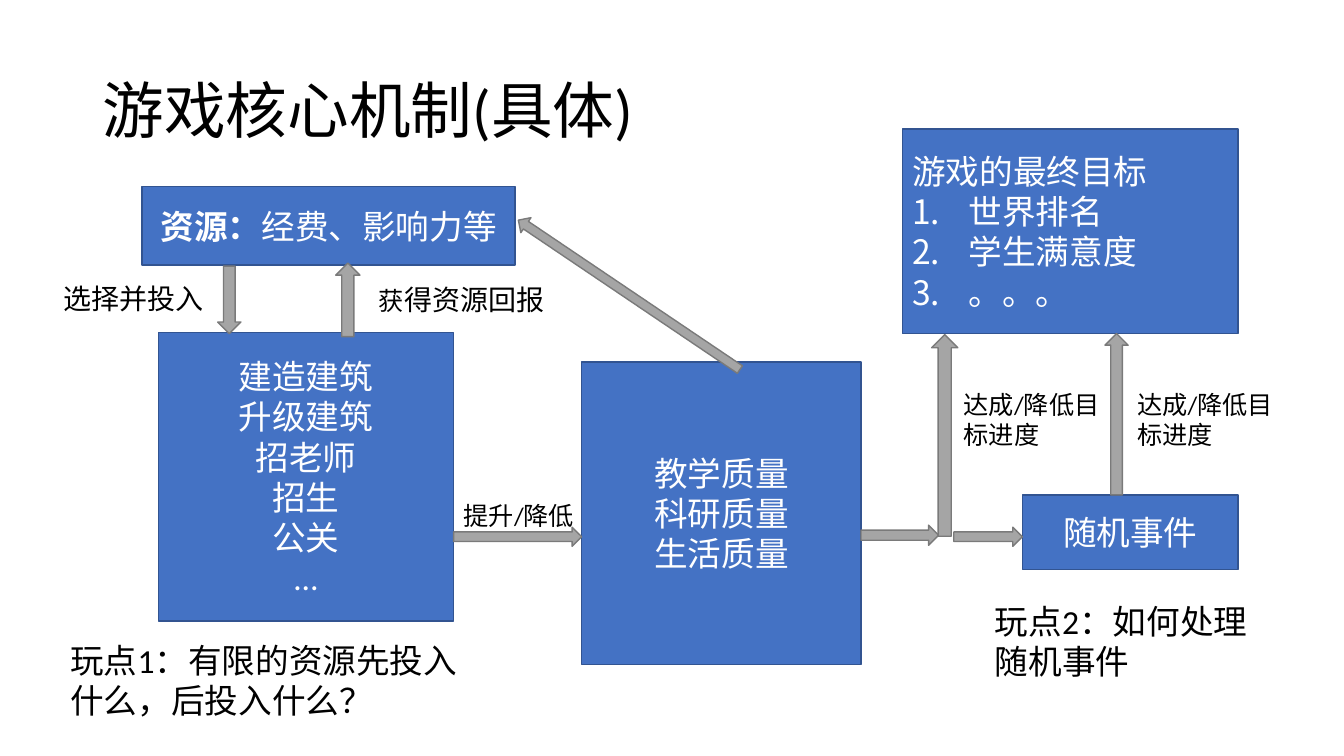
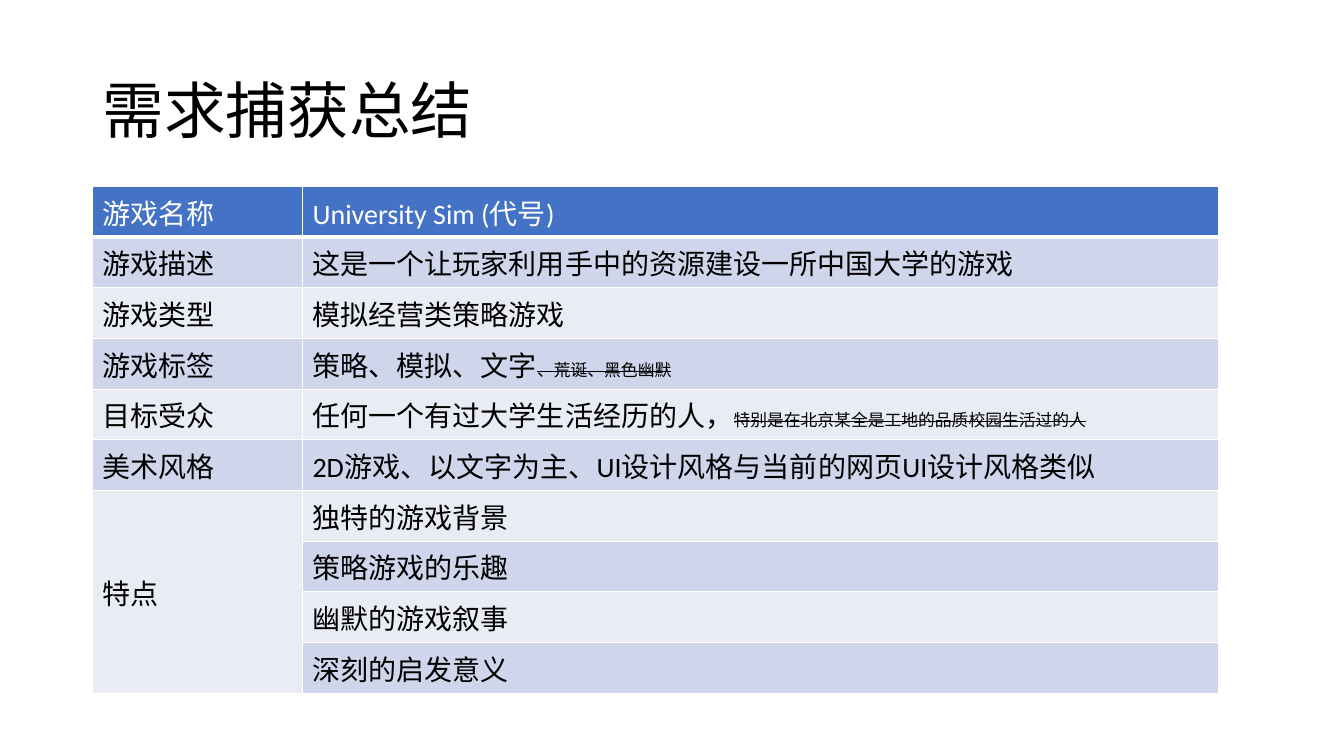
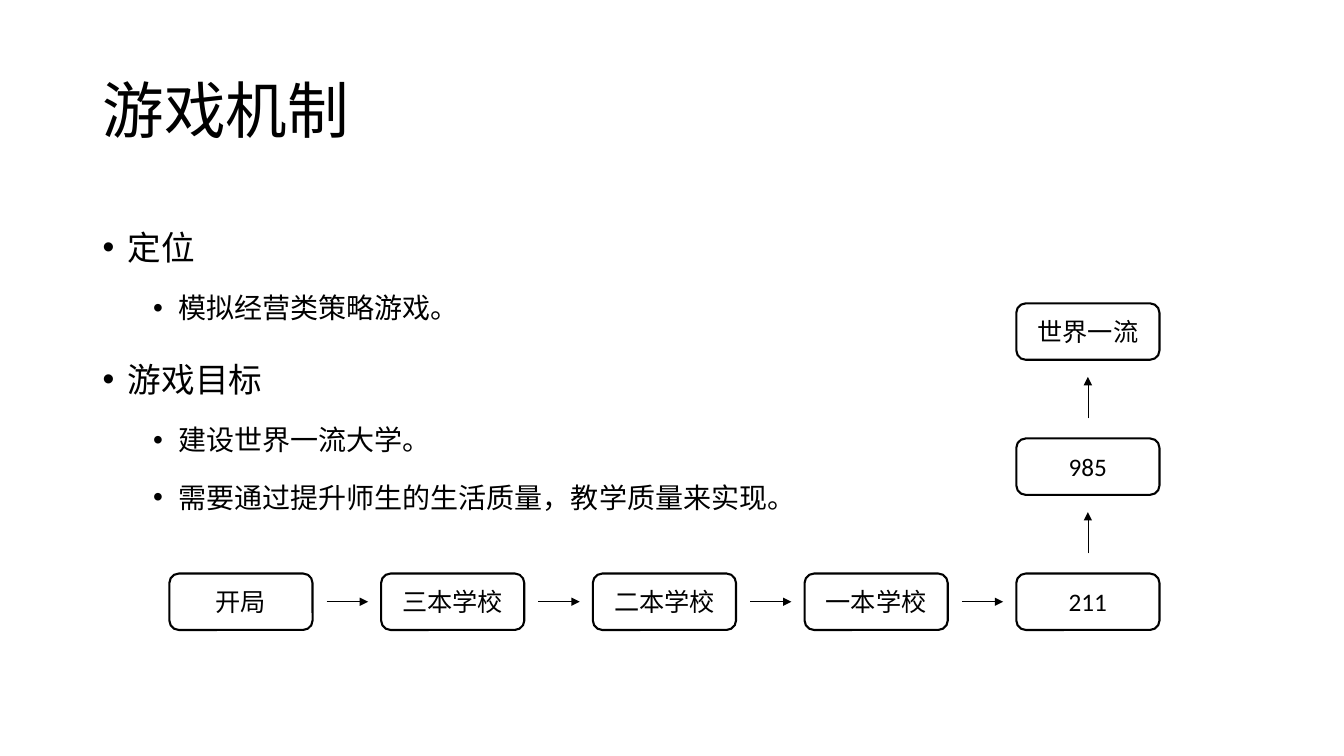
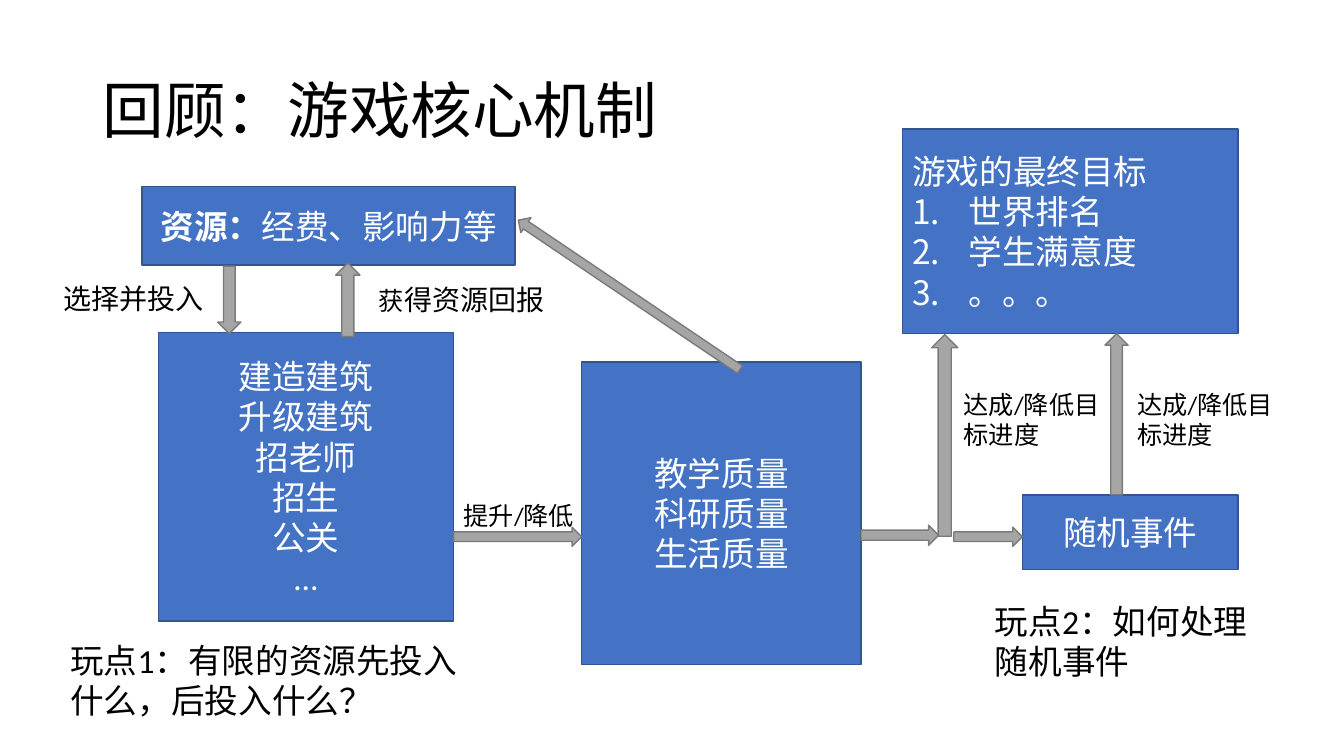
"""Build a four-slide deck on the mechanics of a university simulation game."""
from dataclasses import dataclass

from lxml import etree
from pptx import Presentation
from pptx.dml.color import RGBColor
from pptx.enum.shapes import MSO_CONNECTOR, MSO_SHAPE
from pptx.enum.text import MSO_ANCHOR, PP_ALIGN
from pptx.oxml.ns import qn
from pptx.util import Emu, Pt

EMU_PER_PX = 9144
BLANK_LAYOUT = 6
LEFT, CENTER = PP_ALIGN.LEFT, PP_ALIGN.CENTER
TOP, MIDDLE = MSO_ANCHOR.TOP, MSO_ANCHOR.MIDDLE
RECT, ROUNDED = MSO_SHAPE.RECTANGLE, MSO_SHAPE.ROUNDED_RECTANGLE
UP, DOWN, RIGHT = MSO_SHAPE.UP_ARROW, MSO_SHAPE.DOWN_ARROW, MSO_SHAPE.RIGHT_ARROW
STRAIGHT = MSO_CONNECTOR.STRAIGHT


@dataclass(frozen=True)
class Theme:
    """Colours, fonts and type sizes of the deck."""
    ink: str = "000000"
    paper: str = "FFFFFF"
    blue: str = "4472C4"
    blue_edge: str = "325491"
    gray: str = "A5A5A5"
    gray_edge: str = "7A7A7A"
    band_dark: str = "CFD5EA"
    band_light: str = "E9EBF5"
    font: str = "Calibri"
    bullet_font: str = "Arial"
    title: int = 44
    large: int = 24
    medium: int = 20
    small: int = 18
    tiny: int = 12


THEME = Theme()

NODES = [
    ((141, 185, 370, 78), [[("资源：", {"bold": True}), ("经费、影响力等", {})]]),
    ((157, 330, 293, 286), ["建造建筑", "升级建筑", "招老师", "招生", "公关", "…"]),
    ((1014, 491, 214, 74), ["随机事件"]),
    ((577, 359, 277, 300), ["教学质量", "科研质量", "生活质量"]),
]
GOALS_AT = (895, 128, 333, 203)
GOALS = ["游戏的最终目标", "世界排名", "学生满意度", "。。。"]
ARROWS = [
    (DOWN, (216, 264, 23, 67), 0),
    (UP, (333, 261, 24, 73), 0),
    (RIGHT, (450, 523, 127, 19), 0),
    (RIGHT, (854, 521, 77, 20), 0),
    (UP, (924, 332, 26, 200), 0),
    (RIGHT, (946, 523, 68, 19), 0),
    (UP, (1096, 331, 23, 160), 0),
    (UP, (615, 160, 18, 265), 304),
]
PROGRESS = "达成/降低目标进度"
LABELS = [
    ((53, 274, 162, 44), THEME.medium, "选择并投入"),
    ((366, 275, 188, 44), THEME.medium, [("获", {"size": Pt(THEME.small)}), ("得资源回报", {})]),
    ((450, 491, 131, 40), THEME.small, "提升/降低"),
    ((1118, 381, 168, 71), THEME.small, PROGRESS),
    ((946, 381, 168, 71), THEME.small, PROGRESS),
    ((60, 630, 433, 91), THEME.large, "玩点1：有限的资源先投入什么，后投入什么？"),
    ((977, 591, 297, 91), THEME.large, "玩点2：如何处理随机事件"),
]

STRUCK = {"size": Pt(THEME.tiny), "strike": True}
SUMMARY = [
    ("游戏名称", "University Sim (代号)"),
    ("游戏描述", "这是一个让玩家利用手中的资源建设一所中国大学的游戏"),
    ("游戏类型", "模拟经营类策略游戏"),
    ("游戏标签", [("策略、模拟、文字", {}), ("、荒诞、黑色幽默", STRUCK)]),
    ("目标受众", [("任何一个有过大学生活经历的人，", {}),
              ("特别是在北京某全是工地的品质校园生活过的人", STRUCK)]),
    ("美术风格", "2D游戏、以文字为主、UI设计风格与当前的网页UI设计风格类似"),
    ("特点", "独特的游戏背景"),
    ("", "策略游戏的乐趣"),
    ("", "幽默的游戏叙事"),
    ("", "深刻的启发意义"),
]
FEATURES_ROW = 6

OUTLINE = [
    (0, "定位"),
    (1, "模拟经营类策略游戏。"),
    (0, "游戏目标"),
    (1, "建设世界一流大学。"),
    (1, "需要通过提升师生的生活质量，教学质量来实现。"),
]
RANKS = ["开局", "三本学校", "二本学校", "一本学校", "211"]
TOP_RANKS = ["985", "世界一流"]


def px(*lengths):
    """Turn whole px lengths into EMU."""
    return [Emu(length * EMU_PER_PX) for length in lengths]


def rgb(value):
    """Return a colour object for a hex value."""
    return RGBColor.from_string(value)


def add_child(parent, tag, **attributes):
    """Append an XML element and return it."""
    return etree.SubElement(parent, qn(tag), attributes)


def write_span(para, text, color, formats):
    """Add one run with its format values."""
    span = para.add_run()
    span.text = text
    span.font.color.rgb = rgb(color)
    for name, value in formats.items():
        if name == "strike":
            span.font._element.set("strike", "sngStrike")
        else:
            setattr(span.font, name, value)


def write_text(frame, paras, size, color=THEME.ink, align=LEFT, anchor=TOP, font=THEME.font):
    """Write paragraphs, each a string or a list of spans, and return them."""
    frame.word_wrap = True
    frame.vertical_anchor = anchor
    formats = {"name": font, "size": Pt(size), "bold": False}
    for index, content in enumerate(paras):
        para = frame.paragraphs[0] if index == 0 else frame.add_paragraph()
        para.alignment = align
        spans = [(content, {})] if isinstance(content, str) else content
        for text, changes in spans:
            write_span(para, text, color, formats | changes)
    return frame.paragraphs


def add_label(shapes, place, paras, size, **options):
    """Add a text box and return its paragraphs."""
    box = shapes.add_textbox(*px(*place))
    return write_text(box.text_frame, paras, size, **options)


def add_figure(shapes, kind, place, fill, edge, width=1):
    """Add a preset shape with a fill, or none, and an outline."""
    figure = shapes.add_shape(kind, *px(*place))
    figure.shadow.inherit = False
    if fill:
        figure.fill.solid()
        figure.fill.fore_color.rgb = rgb(fill)
    else:
        figure.fill.background()
    figure.line.color.rgb = rgb(edge)
    figure.line.width = Pt(width)
    return figure


def add_node(shapes, place, paras, align=CENTER):
    """Add a blue box with white text and return its paragraphs."""
    node = add_figure(shapes, RECT, place, THEME.blue, THEME.blue_edge)
    return write_text(node.text_frame, paras, THEME.large, THEME.paper, align, MIDDLE)


def add_bullet(para, margin, hang, tag, **attributes):
    """Give a paragraph a hanging bullet or number."""
    properties = para._p.get_or_add_pPr()
    properties.set("marL", str(margin * EMU_PER_PX))
    properties.set("indent", str(-hang * EMU_PER_PX))
    add_child(properties, "a:buFont", typeface=THEME.bullet_font if tag == "a:buChar" else "+mj-lt")
    add_child(properties, tag, **attributes)


def add_arrow_line(shapes, start, end):
    """Add a thin line with a triangle at its end."""
    line = shapes.add_connector(STRAIGHT, *px(*start, *end))
    line.line.color.rgb = rgb(THEME.ink)
    line.line.width = Pt(0.5)
    add_child(line.line._get_or_add_ln(), "a:tailEnd", type="triangle")
    add_child(line._element.spPr, "a:effectLst")


def add_page(deck, title, font=THEME.font):
    """Add a blank slide with a title."""
    page = deck.slides.add_slide(deck.slide_layouts[BLANK_LAYOUT])
    paras = add_label(page.shapes, (92, 40, 1150, 145), [title], THEME.title,
                      anchor=MIDDLE, font=font)
    paras[0].line_spacing = 0.9
    return page


def add_mechanism(shapes):
    """Draw the resource loop and the goals it feeds."""
    for place, paras in NODES:
        add_node(shapes, place, paras)
    for para in add_node(shapes, GOALS_AT, GOALS, LEFT)[1:]:
        add_bullet(para, 56, 56, "a:buAutoNum", type="arabicPeriod")
    for kind, place, angle in ARROWS:
        add_figure(shapes, kind, place, THEME.gray, THEME.gray_edge).rotation = angle
    for place, size, content in LABELS:
        add_label(shapes, place, [content], size)


def style_cell(cell, fill, top, bottom):
    """Set the white borders and the fill of a table cell."""
    properties = cell._tc.get_or_add_tcPr()
    for tag, width in {"a:lnL": 1, "a:lnR": 1, "a:lnT": top, "a:lnB": bottom}.items():
        border = add_child(properties, tag, w=str(Pt(width)))
        add_child(add_child(border, "a:solidFill"), "a:srgbClr", val=THEME.paper)
    cell.fill.solid()
    cell.fill.fore_color.rgb = rgb(fill)


def add_summary(shapes):
    """Add the requirements table."""
    count = len(SUMMARY)
    table = shapes.add_table(count, 2, *px(92, 185, 1117, 503)).table
    table.first_row = table.horz_banding = False
    for column, width in zip(table.columns, px(208, 909)):
        column.width = width
    for index, row in enumerate(SUMMARY):
        band = THEME.band_dark if index % 2 else THEME.band_light
        fill, color = (band, THEME.ink) if index else (THEME.blue, THEME.paper)
        for cell, content in zip(table.rows[index].cells, row):
            style_cell(cell, fill, 3 if index == 1 else 1, 1 if index else 3)
            cell.vertical_anchor = MIDDLE
            if content:
                write_text(cell.text_frame, [content], THEME.medium, color, anchor=MIDDLE)
    table.cell(FEATURES_ROW, 0).merge(table.cell(count - 1, 0))


def add_outline(shapes):
    """Add the two-level bullet list."""
    paras = add_label(shapes, (92, 200, 1150, 476), [text for _, text in OUTLINE], THEME.large)
    for index, (para, (level, _)) in enumerate(zip(paras, OUTLINE)):
        para.level = level
        add_bullet(para, 25 + 50 * level, 25, "a:buChar", char="•")
        para.line_spacing = 1.5
        para.space_before = Pt((5 if level else 10) if index else 0)
        para.runs[0].font.size = Pt(THEME.medium if level else THEME.large)


def add_ladder(shapes):
    """Draw the school ranks, first to the right and then upwards."""
    left, top, width, height = 168, 569, 142, 56
    across, rise, reach = 210, 134, 41
    last = len(RANKS) - 1
    steps = [(column, 0) for column in range(len(RANKS))]
    steps += [(last, floor + 1) for floor in range(len(TOP_RANKS))]
    for (column, floor), text in zip(steps, RANKS + TOP_RANKS):
        x, y = left + column * across, top - floor * rise
        box = add_figure(shapes, ROUNDED, (x, y, width, height), None, THEME.ink, 1.5)
        write_text(box.text_frame, [text], THEME.small, align=CENTER, anchor=MIDDLE)
        if column < last:
            start, middle = x + width + 14, y + height // 2
            add_arrow_line(shapes, (start, middle), (start + reach, middle))
        elif floor < len(TOP_RANKS):
            center, start = x + width // 2, y - 20
            add_arrow_line(shapes, (center, start), (center, start - reach))


def main():
    """Build and save the deck."""
    deck = Presentation()
    deck.slide_width, deck.slide_height = px(1333, 750)
    add_mechanism(add_page(deck, "游戏核心机制(具体)").shapes)
    add_summary(add_page(deck, "需求捕获总结", THEME.bullet_font).shapes)
    rules = add_page(deck, "游戏机制")
    add_outline(rules.shapes)
    add_ladder(rules.shapes)
    review = add_page(deck, "回顾：游戏核心机制")
    add_mechanism(review.shapes.add_group_shape().shapes)
    deck.save("out.pptx")


if __name__ == "__main__":
    main()
